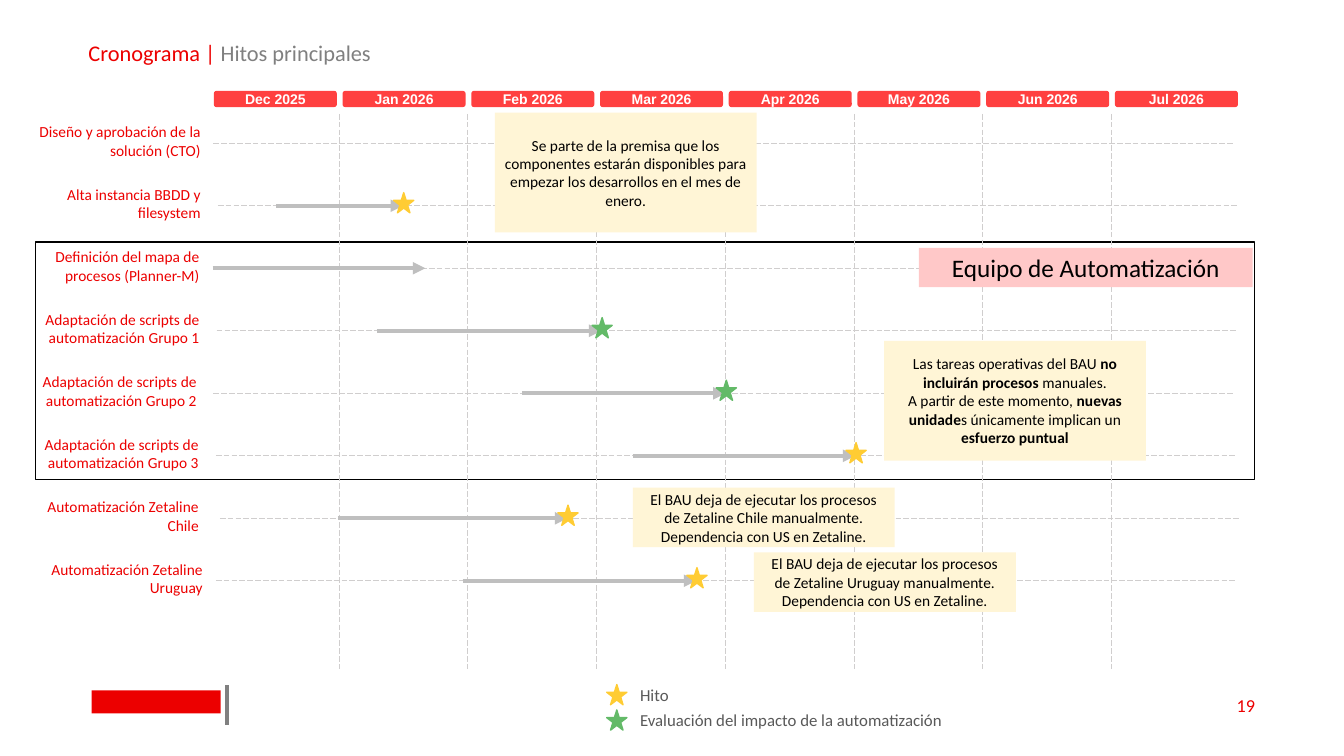
from dataclasses import dataclass

from lxml import etree
from pptx import Presentation
from pptx.dml.color import RGBColor
from pptx.enum.dml import MSO_LINE
from pptx.enum.shapes import MSO_CONNECTOR, MSO_SHAPE
from pptx.enum.text import MSO_ANCHOR, PP_ALIGN
from pptx.oxml.ns import qn
from pptx.util import Cm, Pt

STRAIGHT = MSO_CONNECTOR.STRAIGHT
RECTANGLE, ROUNDED, STAR = MSO_SHAPE.RECTANGLE, MSO_SHAPE.ROUNDED_RECTANGLE, MSO_SHAPE.STAR_5_POINT
LONG_DASH = MSO_LINE.LONG_DASH
MIDDLE, TOP = MSO_ANCHOR.MIDDLE, MSO_ANCHOR.TOP
LEFT, CENTER, RIGHT = PP_ALIGN.LEFT, PP_ALIGN.CENTER, PP_ALIGN.RIGHT


@dataclass(frozen=True)
class Theme:
    red: str = "EC0000"
    header: str = "FF4040"
    white: str = "FFFFFF"
    black: str = "000000"
    gray: str = "808080"
    legend: str = "595959"
    guide: str = "D0CECE"
    arrow: str = "BFBFBF"
    note: str = "FFF5D6"
    team: str = "FFC8C8"
    yellow: str = "FFCC33"
    green: str = "63BA68"
    body_font: str = "Calibri"
    header_font: str = "Arial"
    title_size: int = 16
    team_size: int = 18
    page_size: int = 13
    legend_size: int = 12
    text_size: int = 11
    header_size: int = 10


THEME = Theme()


class SlideBuilder:
    """Holds the theme and the current slide; lengths are centimetres."""

    def __init__(self, theme, slide):
        self.theme = theme
        self.slide = slide

    def fill_text(self, shape, paragraphs, size, color, align=LEFT, anchor=MIDDLE,
                  font=None, bold=False, wrap=True, inset=(0.25, 0.13)):
        """Each paragraph is a list of (text, format changes) pairs."""
        frame = shape.text_frame
        side, edge = (Cm(value) for value in inset)
        layout = {"word_wrap": wrap, "vertical_anchor": anchor, "margin_left": side,
                  "margin_right": side, "margin_top": edge, "margin_bottom": edge}
        for name, value in layout.items():
            setattr(frame, name, value)
        for index, spans in enumerate(paragraphs):
            para = frame.add_paragraph() if index else frame.paragraphs[0]
            para.alignment = align
            for text, changes in spans:
                span = para.add_run()
                span.text = text
                style = {"name": font or self.theme.body_font, "size": Pt(size),
                         "bold": bold, "color": color, **changes}
                span.font.color.rgb = RGBColor.from_string(style.pop("color"))
                for name, value in style.items():
                    setattr(span.font, name, value)

    def title(self, spans, left, top, width, height):
        title = self.slide.shapes.title
        place = {"left": left, "top": top, "width": width, "height": height}
        for name, value in place.items():
            setattr(title, name, Cm(value))
        self.fill_text(title, [spans], self.theme.title_size, self.theme.red)
        title.text_frame.paragraphs[0].line_spacing = 0.9

    def text(self, text, left, top, width, height, size, color, **options):
        box = self.slide.shapes.add_textbox(Cm(left), Cm(top), Cm(width), Cm(height))
        self.fill_text(box, [[(text, {})]], size, color, **options)

    def shape(self, kind, left, top, width, height, fill=None, line=None):
        shape = self.slide.shapes.add_shape(kind, Cm(left), Cm(top), Cm(width), Cm(height))
        shape.shadow.inherit = False
        for part, color in ((shape.fill, fill), (shape.line.fill, line)):
            if color:
                part.solid()
                part.fore_color.rgb = RGBColor.from_string(color)
            else:
                part.background()
        if line:
            shape.line.width = Pt(1)
        return shape

    def star(self, left, top, color):
        self.shape(STAR, left, top, 0.51, 0.51, fill=color, line=color)

    def note(self, paragraphs, left, top, width, height, fill=None, size=None):
        box = self.shape(RECTANGLE, left, top, width, height, fill=fill or self.theme.note)
        self.fill_text(box, paragraphs, size or self.theme.text_size, self.theme.black, align=CENTER)

    def line(self, start, end, color, width, dash=None, arrow=False):
        points = [Cm(value) for value in (*start, *end)]
        connector = self.slide.shapes.add_connector(STRAIGHT, *points)
        connector.line.color.rgb = RGBColor.from_string(color)
        connector.line.width = Pt(width)
        if dash:
            connector.line.dash_style = dash
        properties = connector._element.spPr
        if arrow:
            etree.SubElement(properties.find(qn("a:ln")), qn("a:tailEnd"), type="triangle")
        etree.SubElement(properties, qn("a:effectLst"))


MONTHS = ["Dec 2025", "Jan 2026", "Feb 2026", "Mar 2026",
          "Apr 2026", "May 2026", "Jun 2026", "Jul 2026"]
MONTH_LEFT, MONTH_STEP = 5.39, 3.244
ROW_TOP, ROW_STEP = 3.61, 1.575

# Task, label left, guide left, arrow span, milestone colour
TASKS = [
    ("Diseño y aprobación de la solución (CTO)", 0.51, 5.38, None, None),
    ("Alta instancia BBDD y filesystem", 0.51, 5.49, (6.96, 10.16), THEME.yellow),
    ("Definición del mapa de procesos (Planner-M)", 0.48, 5.46, (5.36, 10.72), None),
    ("Adaptación de scripts de automatización Grupo 1", 0.48, 5.46, (9.5, 15.16), THEME.green),
    ("Adaptación de scripts de automatización Grupo 2", 0.41, 5.38, (13.16, 18.29), THEME.green),
    ("Adaptación de scripts de automatización Grupo 3", 0.46, 5.44, (15.95, 21.56), THEME.yellow),
    ("Automatización Zetaline Chile", 0.46, 5.54, (8.51, 14.3), THEME.yellow),
    ("Automatización Zetaline Uruguay", 0.56, 5.44, (11.66, 17.55), THEME.yellow),
]
BOLD = {"bold": True}
PREMISE = [[("Se parte de la premisa que los componentes estarán disponibles para "
             "empezar los desarrollos en el mes de enero.", {})]]
OPERATIONS = [
    [("Las tareas operativas del BAU ", {}), ("no incluirán procesos", BOLD), (" manuales.", {})],
    [("A partir de este momento, ", {}), ("nuevas unidade", BOLD),
     ("s únicamente implican un ", {}), ("esfuerzo puntual", BOLD)],
]
LEGEND = [("Hito", THEME.yellow, 1.24),
          ("Evaluación del impacto de la automatización", THEME.green, 8.2)]


def main():
    deck = Presentation()
    deck.slide_width, deck.slide_height = Cm(33.87), Cm(19.05)
    page = SlideBuilder(THEME, deck.slides.add_slide(deck.slide_layouts[5]))

    # Title, footer and team frame
    page.title([("Cronograma | ", {}), ("Hitos principales", {"color": THEME.gray})],
               1.98, 0.94, 29.9, 0.84)
    page.shape(RECTANGLE, 2.31, 17.4, 3.25, 0.58, fill=THEME.red)
    page.line((5.72, 17.27), (5.72, 18.26), THEME.gray, 2.25)
    page.text("19", 24.26, 17.25, 7.62, 1.02, THEME.page_size, THEME.red, align=RIGHT)
    page.shape(RECTANGLE, 0.89, 6.1, 30.73, 5.99, line=THEME.black)

    # Month headers and separators
    for index, month in enumerate(MONTHS):
        left = MONTH_LEFT + index * MONTH_STEP
        header = page.shape(ROUNDED, left, 2.29, 3.1, 0.41, fill=THEME.header)
        page.fill_text(header, [[(month, {})]], THEME.header_size, THEME.white, align=CENTER,
                       font=THEME.header_font, bold=True, wrap=False, inset=(0, 0))
        if index:
            page.line((left - 0.09, 2.87), (left - 0.09, 16.87), THEME.guide, 0.5, LONG_DASH)

    # Task labels, guides and arrows
    for index, (task, label_left, guide_left, span, _) in enumerate(TASKS):
        middle = ROW_TOP + index * ROW_STEP
        page.line((guide_left, middle), (guide_left + 25.7, middle), THEME.guide, 0.5, LONG_DASH)
        page.text(task, label_left, middle - 0.32, 4.8, 0.51, THEME.text_size, THEME.red, align=RIGHT)
        if span:
            page.line((span[0], middle), (span[1], middle), THEME.arrow, 3, arrow=True)

    # Notes
    page.note(PREMISE, 12.47, 2.84, 6.6, 3.02)
    page.note(OPERATIONS, 22.28, 8.59, 6.6, 3.02)
    for country, left, top in (("Chile", 15.95, 12.29), ("Uruguay", 19, 13.92)):
        page.note([[(f"El BAU deja de ejecutar los procesos de Zetaline {country} manualmente. "
                     "Dependencia con US en Zetaline.", {})]], left, top, 6.6, 1.5)
    page.note([[("Equipo de Automatización", {})]], 23.16, 6.25, 8.41, 0.99,
              fill=THEME.team, size=THEME.team_size)

    # Milestones
    for index, (_, _, _, span, color) in enumerate(TASKS):
        if color:
            page.star(span[1] - 0.24, ROW_TOP + index * ROW_STEP - 0.33, color)

    # Legend
    for index, (label, color, width) in enumerate(LEGEND):
        top = 17.12 + index * 0.64
        page.star(15.29, top + 0.13, color)
        page.text(label, 15.88, top, width, 0.76, THEME.legend_size, THEME.legend,
                  anchor=TOP, wrap=False)

    deck.save("out.pptx")


if __name__ == "__main__":
    main()
